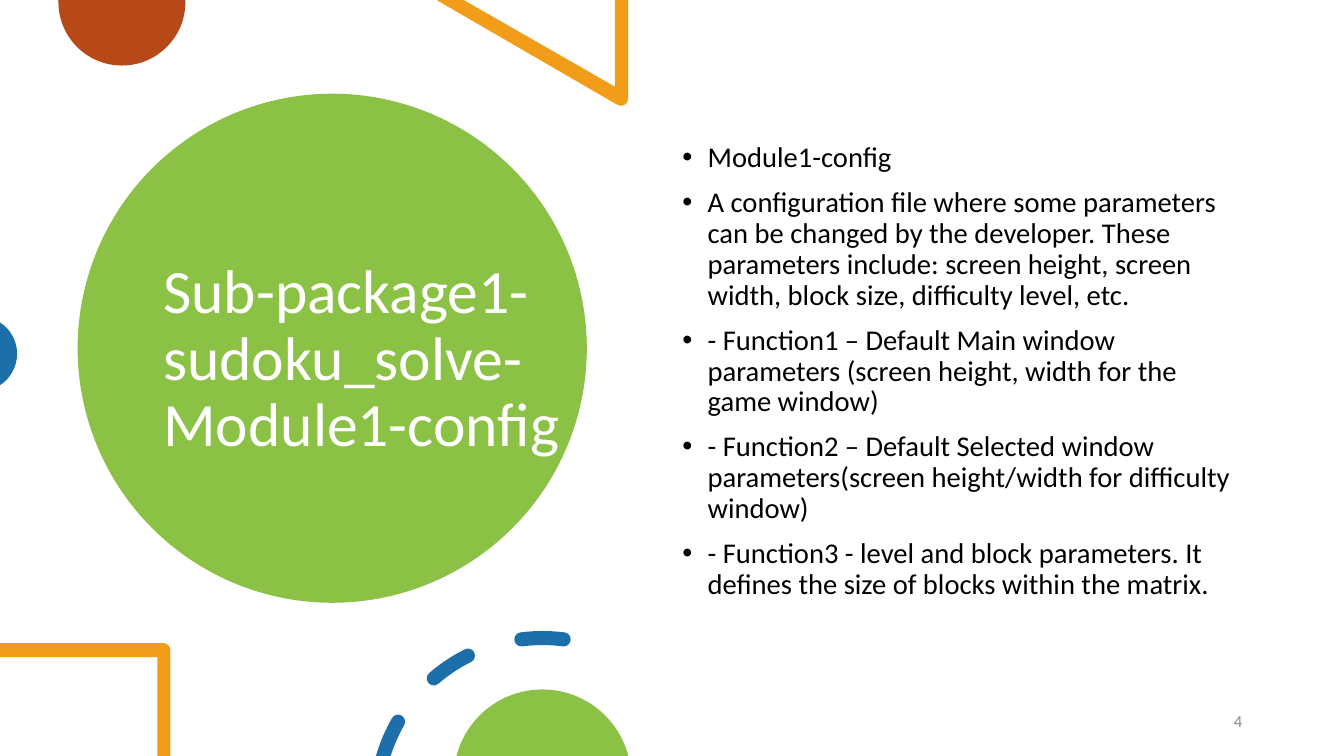
from dataclasses import dataclass
from math import ceil, cos, radians, sin, tan

from lxml.etree import SubElement
from pptx import Presentation
from pptx.dml.color import RGBColor
from pptx.enum.shapes import MSO_SHAPE as Preset
from pptx.enum.text import MSO_ANCHOR as Anchor, PP_ALIGN as Align
from pptx.oxml.ns import qn
from pptx.util import Inches, Pt


@dataclass(frozen=True)
class Theme:
    font: str = "Calibri"
    green: str = "8BC145"
    rust: str = "B74919"
    orange: str = "F19D19"
    blue: str = "1D6FA9"
    white: str = "FFFFFF"
    black: str = "000000"
    gray: str = "8C8C8C"
    title_size: float = 44
    body_size: float = 20.4
    number_size: float = 12


THEME = Theme()
SLIDE_WIDTH, SLIDE_HEIGHT = 13.33, 7.5
BAND = 0.07
RING_X, RING_Y, RING_RADIUS = 5.38, 7.98, 1.65

TITLE = "Sub-package1-sudoku_solve-Module1-config"
MODULE_NOTES = [
    "Module1-config",
    "A configuration file where some parameters can be changed by the developer. "
    "These parameters include: screen height, screen width, block size, "
    "difficulty level, etc.",
    "- Function1 – Default Main window parameters "
    "(screen height, width for the game window)",
    "- Function2 – Default Selected window "
    "parameters(screen height/width for difficulty window)",
    "- Function3 - level and block parameters. "
    "It defines the size of blocks within the matrix.",
]


def arc(x, y, radius, start, end):
    pieces = ceil(abs(end - start) / 90)
    sweep = radians(end - start) / pieces
    reach = radius * 4 / 3 * tan(sweep / 4)

    def on_circle(angle, along=0):
        return (
            x + radius * cos(angle) - along * sin(angle),
            y + radius * sin(angle) + along * cos(angle),
        )

    angles = [radians(start) + sweep * i for i in range(pieces + 1)]
    curves = [
        (on_circle(a, reach), on_circle(b, -reach), on_circle(b))
        for a, b in zip(angles, angles[1:])
    ]
    return [on_circle(angles[0]), *curves]


def ring_arc(radius, start, end):
    return arc(RING_X, RING_Y, radius, start, end)


def round_cap(angle, turn):
    x = RING_X + RING_RADIUS * cos(radians(angle))
    y = RING_Y + RING_RADIUS * sin(radians(angle))
    return arc(x, y, BAND, angle + turn, angle + turn + 180)[1:]


def ring_dash(start, end):
    return (
        ring_arc(RING_RADIUS + BAND, start, end)
        + round_cap(end, 0)
        + ring_arc(RING_RADIUS - BAND, end, start)[1:]
        + round_cap(start, 180)
    )


def cut_ring_dash(outer_start, inner_start, end):
    return (
        ring_arc(RING_RADIUS + BAND, outer_start, end)
        + round_cap(end, 0)
        + ring_arc(RING_RADIUS - BAND, end, inner_start)[1:]
    )


def paint(shape, color):
    shape.shadow.inherit = False
    shape.fill.solid()
    shape.fill.fore_color.rgb = RGBColor.from_string(color)
    shape.line.fill.background()


def bend_curves(shape, contours):
    lines = iter(list(shape._element.iter(qn("a:lnTo"))))
    for contour in contours:
        for step in contour[1:]:
            first = next(lines)
            if len(step) == 3:
                first.tag = qn("a:cubicBezTo")
                for line in (next(lines), next(lines)):
                    first.append(line[0])
                    line.getparent().remove(line)


def add_outline(slide, color, *contours):
    builder = None
    for contour in contours:
        points = []
        for step in contour:
            points.extend(step if len(step) == 3 else [step])
        scaled = [(Inches(x), Inches(y)) for x, y in points]
        if builder is None:
            builder = slide.shapes.build_freeform(*scaled[0], scale=1.0)
        else:
            builder.move_to(*scaled[0])
        builder.add_line_segments(scaled[1:], close=True)
    outline = builder.convert_to_shape()
    bend_curves(outline, contours)
    paint(outline, color)


def add_disc(slide, left, top, diameter, color):
    disc = slide.shapes.add_shape(
        Preset.OVAL, Inches(left), Inches(top), Inches(diameter), Inches(diameter)
    )
    paint(disc, color)


def add_bullet(paragraph, indent):
    properties = paragraph._p.get_or_add_pPr()
    properties.set("marL", str(Inches(indent)))
    properties.set("indent", str(-Inches(indent)))
    SubElement(properties, qn("a:buFont")).set("typeface", "Arial")
    SubElement(properties, qn("a:buChar")).set("char", "•")


def add_text(slide, box, lines, size, color, anchor, layout, inset=0.05, bulleted=False):
    frame = slide.shapes.add_textbox(*map(Inches, box)).text_frame
    settings = {"word_wrap": True, "vertical_anchor": anchor, "margin_top": Inches(inset)}
    for name, value in settings.items():
        setattr(frame, name, value)
    for index, line in enumerate(lines):
        paragraph = frame.paragraphs[0] if index == 0 else frame.add_paragraph()
        if bulleted:
            add_bullet(paragraph, 0.25)
        for name, value in layout.items():
            setattr(paragraph, name, value)
        if index:
            paragraph.space_before = Pt(10)
        run = paragraph.add_run()
        run.text = line
        for name, value in {"name": THEME.font, "size": Pt(size)}.items():
            setattr(run.font, name, value)
        run.font.color.rgb = RGBColor.from_string(color)


def add_decorations(slide):
    add_outline(slide, THEME.rust, [(1.84, 0), *arc(1.21, 0.02, 0.63, 0, 180), (0.58, 0)])
    add_outline(
        slide,
        THEME.orange,
        [(6.23, 0), *arc(6.16, 0.98, BAND, 0, 120), (4.33, 0), (4.6, 0), (6.1, 0.86), (6.1, 0)],
    )
    add_outline(slide, THEME.blue, arc(-0.2, 3.51, 0.37, -57.25, 57.25))
    add_outline(
        slide,
        THEME.orange,
        [(0, 6.38), *arc(1.62, 6.45, BAND, 270, 360), (1.69, 7.5), (1.56, 7.5), (1.56, 6.52), (0, 6.52)],
    )
    add_outline(
        slide,
        THEME.blue,
        cut_ring_dash(196.2, 197.7, 209.8),
        ring_dash(229.2, 243.4),
        ring_dash(262.7, 277.3),
    )
    add_outline(slide, THEME.green, arc(5.38, 7.72, 0.88, 194.5, 345.5))


def main():
    deck = Presentation()
    deck.slide_width, deck.slide_height = Inches(SLIDE_WIDTH), Inches(SLIDE_HEIGHT)
    slide = deck.slides.add_slide(deck.slide_layouts[6])

    add_disc(slide, 0.77, 0.93, 5.05, THEME.green)
    add_text(
        slide, (1.52, 1.35, 4.91, 4.45), [TITLE],
        THEME.title_size, THEME.white, Anchor.MIDDLE, {"line_spacing": 0.9},
    )
    add_decorations(slide)
    add_text(
        slide, (6.67, 0.9, 5.75, 5.35), MODULE_NOTES, THEME.body_size, THEME.black,
        Anchor.TOP, {"line_spacing": 0.9}, inset=0.52, bulleted=True,
    )
    add_text(
        slide, (11.49, 6.95, 0.93, 0.4), ["4"],
        THEME.number_size, THEME.gray, Anchor.MIDDLE,
        {"alignment": Align.RIGHT, "space_after": Pt(6)},
    )
    deck.save("out.pptx")


if __name__ == "__main__":
    main()
